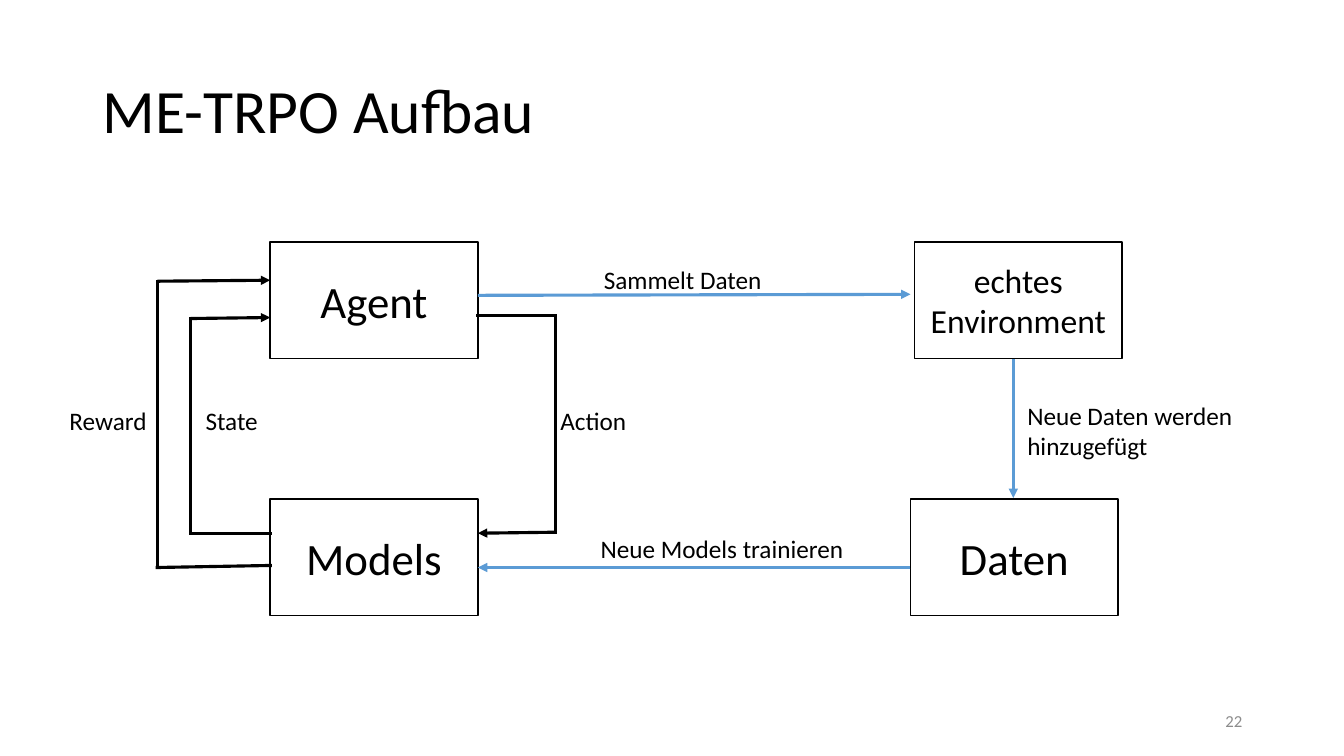
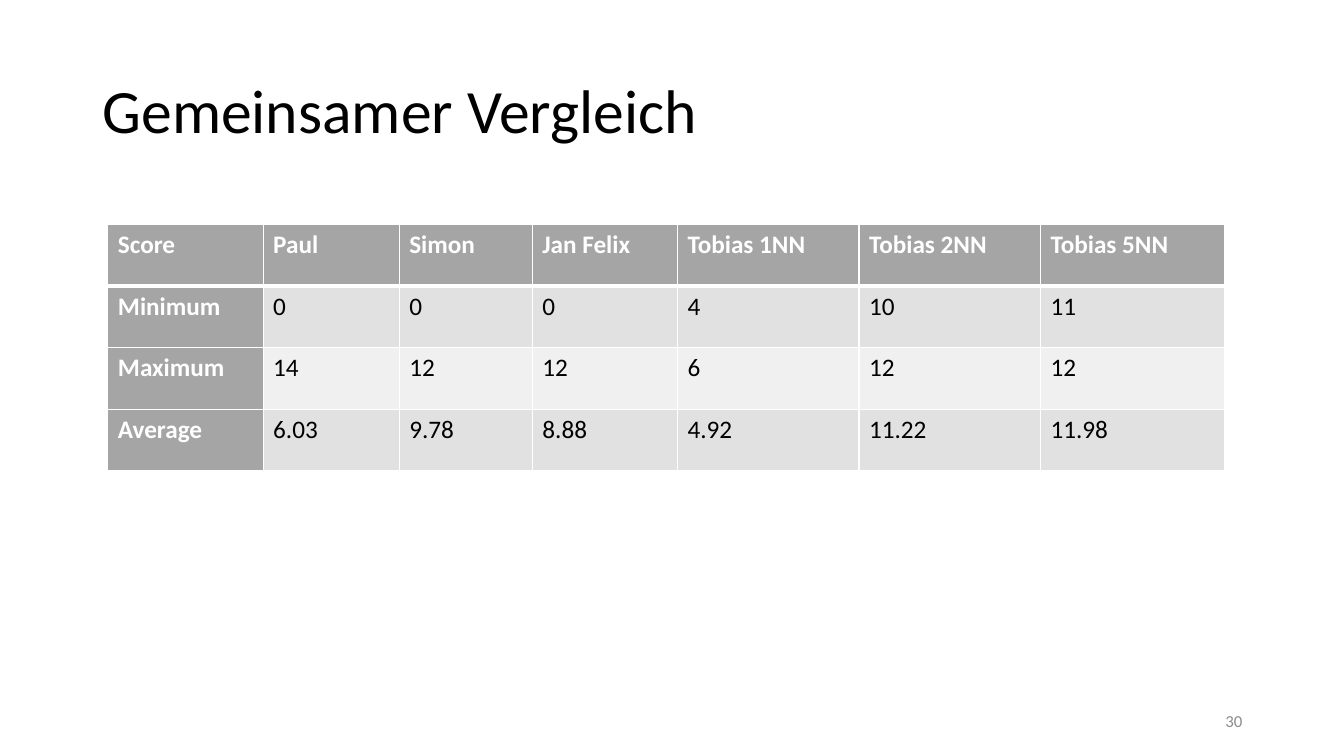
from itertools import pairwise

from lxml import etree
from pptx import Presentation
from pptx.dml.color import RGBColor
from pptx.enum.shapes import MSO_CONNECTOR as CONN, MSO_SHAPE as SHAPE
from pptx.enum.text import MSO_ANCHOR as ANCHOR, PP_ALIGN as ALIGN
from pptx.oxml.ns import qn
from pptx.util import Inches, Pt

THEME = {
    "font": "Calibri",
    "title": 44, "box": 32, "small_box": 24, "body": 18, "number": 12,
    "black": "000000", "white": "FFFFFF", "blue": "5B9BD5", "muted": "8C8C8C",
    "head": "A5A5A5", "bands": ("E1E1E1", "F0F0F0"),
}


def rgb(name):
    return RGBColor.from_string(THEME.get(name, name))


def write(tf, text, size="body", color="black", bold=False,
          align=ALIGN.LEFT, anchor=ANCHOR.TOP, spacing=None):
    """Fill a text frame, one paragraph for each line of text."""
    tf.word_wrap = True
    tf.vertical_anchor = anchor
    for i, line in enumerate(text.split("\n")):
        p = tf.paragraphs[0] if i == 0 else tf.add_paragraph()
        p.alignment = align
        p.line_spacing = spacing
        r = p.add_run()
        r.text = line
        r.font.name = THEME["font"]
        r.font.size = Pt(THEME[size])
        r.font.bold = bold
        r.font.color.rgb = rgb(color)


prs = Presentation()
prs.slide_width, prs.slide_height = Inches(13.33), Inches(7.5)

# Titles and slide numbers
slides = []
for title, number in (("ME-TRPO Aufbau", "22"), ("Gemeinsamer Vergleich", "30")):
    s = prs.slides.add_slide(prs.slide_layouts[6])
    tb = s.shapes.add_textbox(Inches(0.92), Inches(0.4), Inches(11.5), Inches(1.45))
    write(tb.text_frame, title, size="title", anchor=ANCHOR.MIDDLE, spacing=0.9)
    tb = s.shapes.add_textbox(Inches(9.42), Inches(6.95), Inches(3), Inches(0.4))
    write(tb.text_frame, number, size="number", color="muted",
          align=ALIGN.RIGHT, anchor=ANCHOR.MIDDLE)
    slides.append(s)
diagram, comparison = slides

# Diagram: boxes
BOX_W, BOX_H = 2.06, 1.16
LEFT, TOP, BOTTOM = 2.68, 2.4, 4.95
RIGHT = LEFT + BOX_W
for text, x, y, size in (
    ("Agent", LEFT, TOP, "box"),
    ("echtes\nEnvironment", 9.07, TOP, "small_box"),
    ("Daten", 9.03, BOTTOM, "box"),
    ("Models", LEFT, BOTTOM, "box"),
):
    sp = diagram.shapes.add_shape(SHAPE.RECTANGLE, Inches(x), Inches(y),
                                  Inches(BOX_W), Inches(BOX_H))
    sp.shadow.inherit = False
    sp.fill.solid()
    sp.fill.fore_color.rgb = rgb("white")
    sp.line.color.rgb = rgb("black")
    sp.line.width = Pt(1)
    write(sp.text_frame, text, size=size, align=ALIGN.CENTER, anchor=ANCHOR.MIDDLE)

# Diagram: routes through corner points, with an arrowhead at the end
for color, *points in (
    ("blue", (RIGHT, 2.93), (9.03, 2.92)),
    ("blue", (10.05, TOP + BOX_H), (10.05, 4.94)),
    ("blue", (9.03, 5.63), (RIGHT, 5.63)),
    ("black", (RIGHT, 3.13), (5.51, 3.13), (5.51, 5.28), (RIGHT, 5.29)),
    ("black", (LEFT, 5.29), (1.89, 5.29), (1.89, 3.16), (LEFT, 3.15)),
    ("black", (LEFT, 5.61), (1.56, 5.63), (1.56, 2.79), (LEFT, 2.78)),
):
    for start, end in pairwise(points):
        c = diagram.shapes.add_connector(CONN.STRAIGHT, *map(Inches, start + end))
        c.line.color.rgb = rgb(color)
        c.line.width = Pt(2.25)
        ln = c.line._get_or_add_ln()
        if end == points[-1]:
            etree.SubElement(ln, qn("a:tailEnd"), type="triangle")
        else:
            ln.set("cap", "sq")
        etree.SubElement(c._element.spPr, qn("a:effectLst"))

# Diagram: labels
for text, x, y, w, h in (
    ("Sammelt Daten", 5.89, 2.57, 2.16, 0.4),
    ("Neue Daten werden hinzugefügt", 10.09, 3.92, 2.48, 0.71),
    ("Action", 5.46, 3.97, 2.16, 0.4),
    ("State", 1.94, 3.97, 2.16, 0.4),
    ("Reward", 0.59, 3.97, 2.16, 0.4),
    ("Neue Models trainieren", 5.86, 5.24, 2.73, 0.4),
):
    tb = diagram.shapes.add_textbox(Inches(x), Inches(y), Inches(w), Inches(h))
    write(tb.text_frame, text)

# Comparison: score table
ROWS = (
    ("Score", "Paul", "Simon", "Jan Felix", "Tobias 1NN", "Tobias 2NN", "Tobias 5NN"),
    ("Minimum", "0", "0", "0", "4", "10", "11"),
    ("Maximum", "14", "12", "12", "6", "12", "12"),
    ("Average", "6.03", "9.78", "8.88", "4.92", "11.22", "11.98"),
)
WIDTHS = (1.54, 1.35, 1.32, 1.44, 1.8, 1.8, 1.83)
ROW_H = 0.61
table = comparison.shapes.add_table(
    len(ROWS), len(WIDTHS), Inches(1.07), Inches(2.23),
    Inches(sum(WIDTHS)), Inches(ROW_H * len(ROWS))).table
for col, width in zip(table.columns, WIDTHS):
    col.width = Inches(width)
for i, row in enumerate(ROWS):
    table.rows[i].height = Inches(ROW_H)
    for j, text in enumerate(row):
        cell = table.cell(i, j)
        header = i == 0 or j == 0
        write(cell.text_frame, text, color="white" if header else "black", bold=header)

        # White borders, thicker below the header row
        tc_pr = cell._tc.get_or_add_tcPr()
        for side in ("lnL", "lnR", "lnT", "lnB"):
            thick = (i, side) in ((0, "lnB"), (1, "lnT"))
            ln = etree.SubElement(tc_pr, qn(f"a:{side}"), w=str(Pt(3 if thick else 1)))
            fill = etree.SubElement(ln, qn("a:solidFill"))
            etree.SubElement(fill, qn("a:srgbClr"), val=THEME["white"])

        cell.fill.solid()
        cell.fill.fore_color.rgb = rgb("head" if header else THEME["bands"][(i - 1) % 2])

prs.save("out.pptx")
